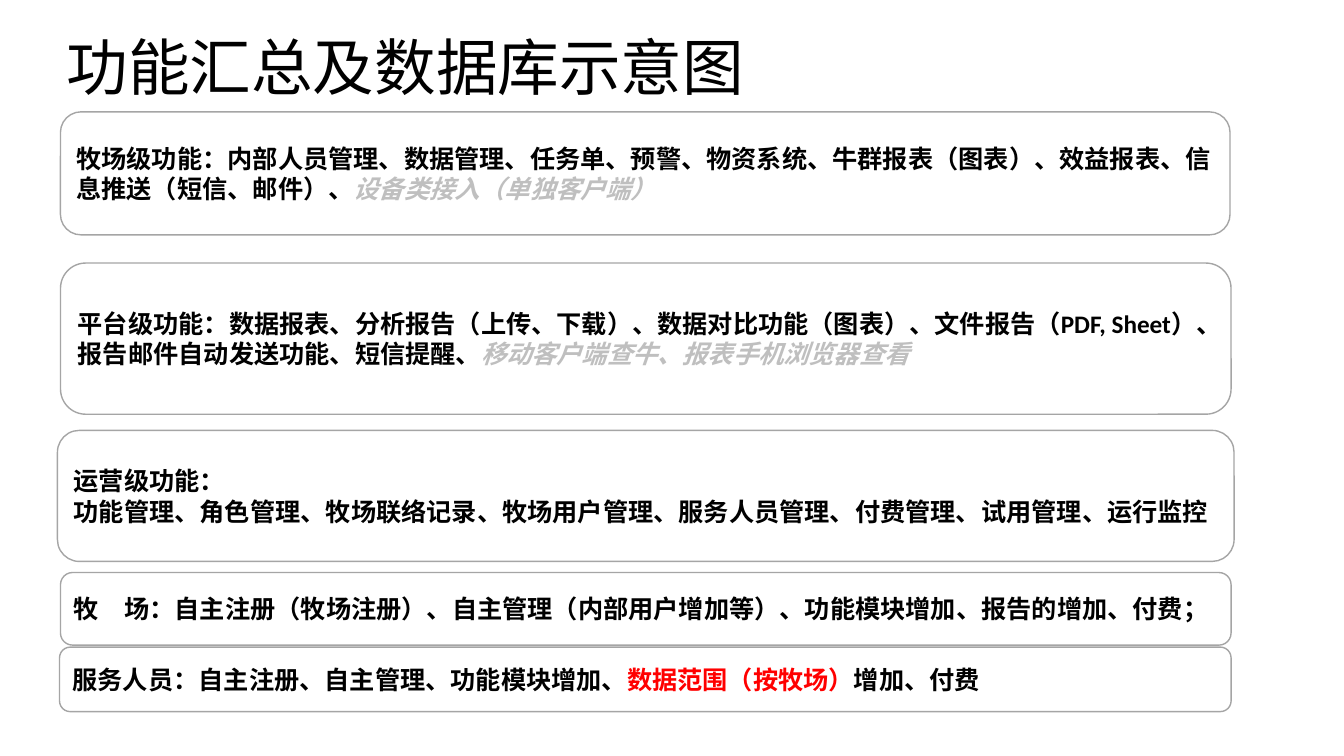
"""Build the slide that sums up the functions of each user level."""
from pptx import Presentation
from pptx.dml.color import RGBColor
from pptx.enum import shapes, text
from pptx.util import Inches, Pt

COLORS = {"ink": "000000", "later": "BFBFBF", "alert": "FF0000",
          "panel": "FFFFFF", "border": "A5A5A5"}
FONT = "Calibri"
TITLE = "功能汇总及数据库示意图"
TITLE_BOX = (0.56, 0.32, 11.5, 1.45)
LATER = {"color": "later", "italic": True}
ALERT = {"color": "alert"}

PANELS = [
    ((0.6, 1.11, 11.6, 1.22), [[
        ("牧场级功能：内部人员管理、数据管理、任务单、预警、物资系统、"
         "牛群报表（图表）、效益报表、信息推送（短信、邮件）、", {}),
        ("设备类接入（单独客户端）", LATER)]]),
    ((0.6, 2.61, 11.61, 1.5), [[
        ("平台级功能：数据报表、分析报告（上传、下载）、数据对比功能（图表）、"
         "文件报告（PDF, Sheet）、报告邮件自动发送功能、短信提醒、", {}),
        ("移动客户端查牛、报表手机浏览器查看", LATER)]]),
    ((0.57, 4.27, 11.67, 1.3), [
        [("运营级功能：", {})],
        [("功能管理、角色管理、牧场联络记录、牧场用户管理、服务人员管理、"
          "付费管理、试用管理、运行监控", {})]]),
    ((0.6, 5.68, 11.61, 0.72), [[
        ("牧\u3000场：自主注册（牧场注册）、自主管理（内部用户增加等）、"
         "功能模块增加、报告的增加、付费；", {})]]),
    ((0.59, 6.42, 11.62, 0.64), [[
        ("服务人员：自主注册、自主管理、功能模块增加、", {}),
        ("数据范围（按牧场）", ALERT),
        ("增加、付费", {})]]),
]


def rgb(name):
    return RGBColor.from_string(COLORS[name])


def add_text(paragraph, wording, size=18, color="ink", bold=True, italic=False):
    paragraph.alignment = text.PP_ALIGN.LEFT
    run = paragraph.add_run()
    run.text = wording
    run.font.name = FONT
    run.font.size = Pt(size)
    run.font.bold = bold
    run.font.italic = italic
    run.font.color.rgb = rgb(color)


def add_panel(slide, box, lines):
    panel = slide.shapes.add_shape(
        shapes.MSO_SHAPE.ROUNDED_RECTANGLE, *map(Inches, box))
    panel.shadow.inherit = False
    panel.fill.solid()
    panel.fill.fore_color.rgb = rgb("panel")
    panel.line.color.rgb = rgb("border")
    panel.line.width = Pt(1)
    frame = panel.text_frame
    frame.word_wrap = True
    frame.vertical_anchor = text.MSO_ANCHOR.MIDDLE
    for index, line in enumerate(lines):
        paragraph = frame.add_paragraph() if index else frame.paragraphs[0]
        for wording, look in line:
            add_text(paragraph, wording, **look)


deck = Presentation()
deck.slide_width, deck.slide_height = Inches(13.33), Inches(7.5)
slide = deck.slides.add_slide(deck.slide_layouts.get_by_name("Title Only"))

heading = slide.shapes.title
heading.left, heading.top, heading.width, heading.height = map(Inches, TITLE_BOX)
heading.text_frame.word_wrap = True
heading.text_frame.auto_size = text.MSO_AUTO_SIZE.NONE
heading.text_frame.vertical_anchor = text.MSO_ANCHOR.TOP
heading_line = heading.text_frame.paragraphs[0]
heading_line.line_spacing = 0.9
add_text(heading_line, TITLE, size=44, bold=False)

for box, lines in PANELS:
    add_panel(slide, box, lines)

deck.save("out.pptx")
